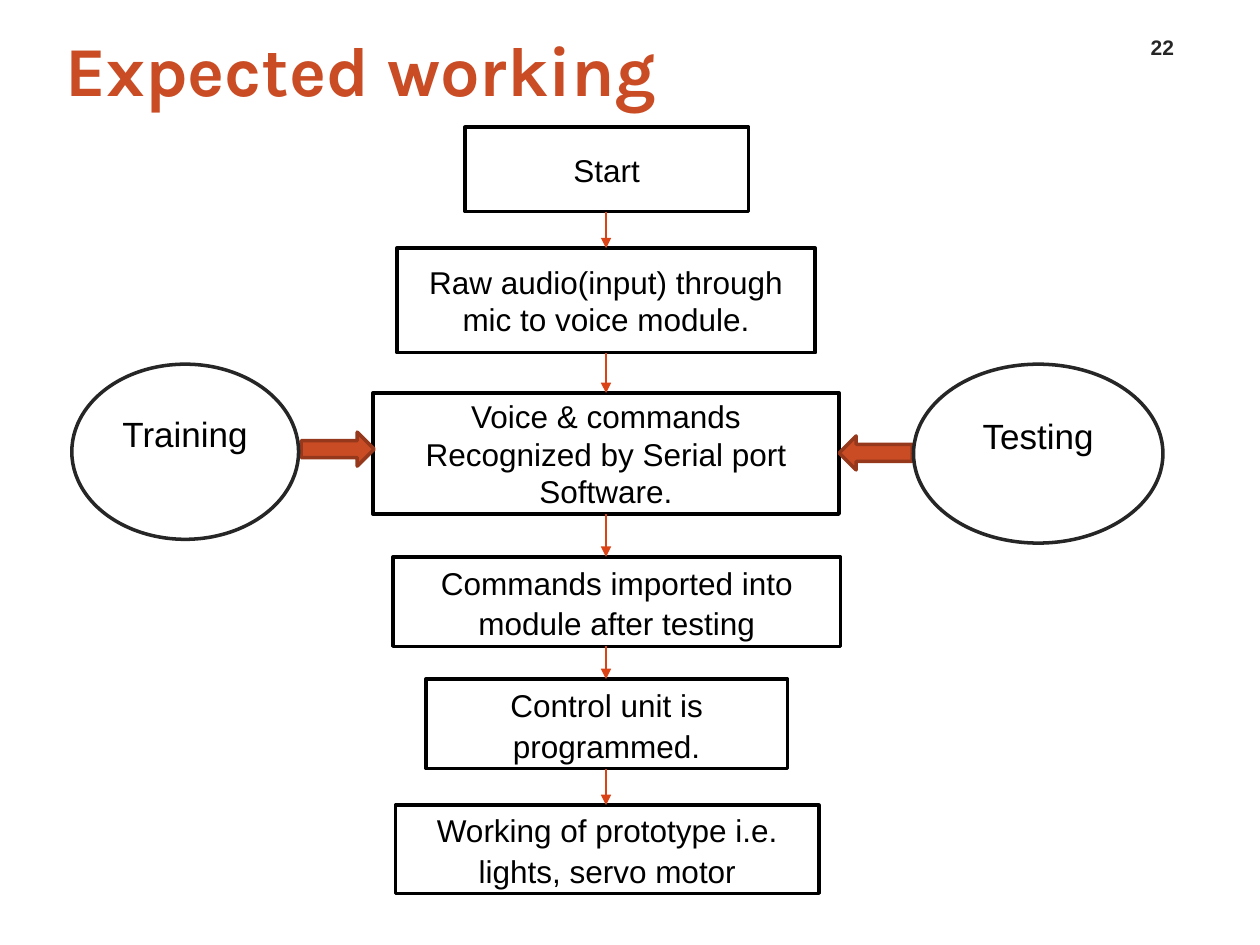
from lxml import etree
from pptx import Presentation
from pptx.dml.color import RGBColor
from pptx.enum.shapes import MSO_CONNECTOR, MSO_SHAPE
from pptx.enum.text import MSO_ANCHOR, MSO_AUTO_SIZE, PP_ALIGN
from pptx.oxml.ns import qn
from pptx.util import Inches, Pt

RECTANGLE = MSO_SHAPE.RECTANGLE
ELLIPSE = MSO_SHAPE.OVAL
LEFT_ARROW = MSO_SHAPE.LEFT_ARROW
RIGHT_ARROW = MSO_SHAPE.RIGHT_ARROW
STRAIGHT = MSO_CONNECTOR.STRAIGHT
MIDDLE = MSO_ANCHOR.MIDDLE
BOTTOM = MSO_ANCHOR.BOTTOM
LEFT = PP_ALIGN.LEFT
CENTER = PP_ALIGN.CENTER
NO_AUTO_SIZE = MSO_AUTO_SIZE.NONE

BLACK = RGBColor(0x00, 0x00, 0x00)
WHITE = RGBColor(0xFF, 0xFF, 0xFF)
CHARCOAL = RGBColor(0x26, 0x26, 0x26)
RUST = RGBColor(0xC9, 0x4C, 0x25)
DARK_RUST = RGBColor(0x95, 0x38, 0x1B)
ORANGE = RGBColor(0xD9, 0x43, 0x15)

LOOSE = {"line_spacing": 1.07, "space_after": Pt(8)}
FLOW_STEPS = [
    ("Start", 0.73, 0, 2.25, 0.67, {}),
    ("Raw audio(input) through mic to voice module.", 0.19, 0.96, 3.32, 0.83, {}),
    ("Voice & commands Recognized by Serial port Software.", 0, 2.11, 3.7, 0.96, {}),
    ("Commands imported into module after testing", 0.16, 3.41, 3.55, 0.71, LOOSE),
    ("Control unit is programmed.", 0.42, 4.38, 2.87, 0.71, LOOSE),
    ("Working of prototype i.e. lights, servo motor", 0.18, 5.38, 3.36, 0.7, LOOSE),
]


def write_text(shape, text, size=18, color=BLACK, font="Arial", bold=False,
               align=CENTER, anchor=MIDDLE, line_spacing=None, space_after=None):
    frame = shape.text_frame
    frame.word_wrap = True
    frame.auto_size = NO_AUTO_SIZE
    frame.vertical_anchor = anchor
    frame.text = text
    paragraph = frame.paragraphs[0]
    paragraph.alignment = align
    if line_spacing:
        paragraph.line_spacing = line_spacing
    if space_after:
        paragraph.space_after = space_after
    run_font = paragraph.runs[0].font
    run_font.name = font
    run_font.size = Pt(size)
    run_font.bold = bold
    run_font.color.rgb = color


def add_outlined_shape(slide, kind, box, fill, line):
    shape = slide.shapes.add_shape(kind, *map(Inches, box))
    shape.shadow.inherit = False
    shape.fill.solid()
    shape.fill.fore_color.rgb = fill
    shape.line.color.rgb = line
    shape.line.width = Pt(2)
    return shape


def add_flow_arrow(slide, x, start, end):
    arrow = slide.shapes.add_connector(
        STRAIGHT, Inches(x), Inches(start), Inches(x), Inches(end))
    arrow.line.color.rgb = ORANGE
    arrow.line.width = Pt(0.75)
    line = arrow.line._get_or_add_ln()
    etree.SubElement(line, qn("a:tailEnd"), type="triangle")
    etree.SubElement(arrow._element.spPr, qn("a:effectLst"))


def add_title(slide, left, top, width, height):
    title = slide.shapes.title
    title.left, title.top = Inches(left), Inches(top)
    title.width, title.height = Inches(width), Inches(height)
    write_text(title, "Expected working", size=40, color=RUST, font="Karla",
               bold=True, align=LEFT)
    title.text_frame.margin_left = Inches(0.2)
    title.text_frame.margin_right = 0


def add_page_number(slide, left, top, width, height):
    number = slide.shapes.add_textbox(*map(Inches, (left, top, width, height)))
    write_text(number, "22", size=12, color=CHARCOAL, bold=True, anchor=BOTTOM)


def add_flow(slide, left, top, width):
    previous_bottom = None
    for text, indent, offset, step_width, height, spacing in FLOW_STEPS:
        step_top = top + offset
        box = (left + indent, step_top, step_width, height)
        step = add_outlined_shape(slide, RECTANGLE, box, WHITE, BLACK)
        write_text(step, text, **spacing)
        if previous_bottom is not None:
            add_flow_arrow(slide, left + width / 2, previous_bottom, step_top)
        previous_bottom = step_top + height


def add_side_input(slide, text, ellipse_box, arrow_kind, arrow_left, arrow_top):
    arrow_box = (arrow_left, arrow_top, 0.58, 0.27)
    add_outlined_shape(slide, arrow_kind, arrow_box, RUST, DARK_RUST)
    ellipse = add_outlined_shape(slide, ELLIPSE, ellipse_box, WHITE, CHARCOAL)
    write_text(ellipse, text, size=20)
    ellipse.text_frame.margin_bottom = Inches(0.34)


def main():
    presentation = Presentation()
    presentation.slide_width = Inches(10)
    presentation.slide_height = Inches(7.5)
    slide = presentation.slides.add_slide(presentation.slide_layouts[5])
    add_title(slide, 0.32, 0.17, 5.07, 0.74)
    add_flow(slide, 2.96, 1.01, 3.7)
    add_page_number(slide, 8.95, 0.19, 0.55, 0.33)
    add_side_input(slide, "Testing", (7.25, 2.89, 1.98, 1.42), LEFT_ARROW, 6.66, 3.46)
    add_side_input(slide, "Training", (0.57, 2.89, 1.8, 1.39), RIGHT_ARROW, 2.39, 3.43)
    presentation.save("out.pptx")


if __name__ == "__main__":
    main()
